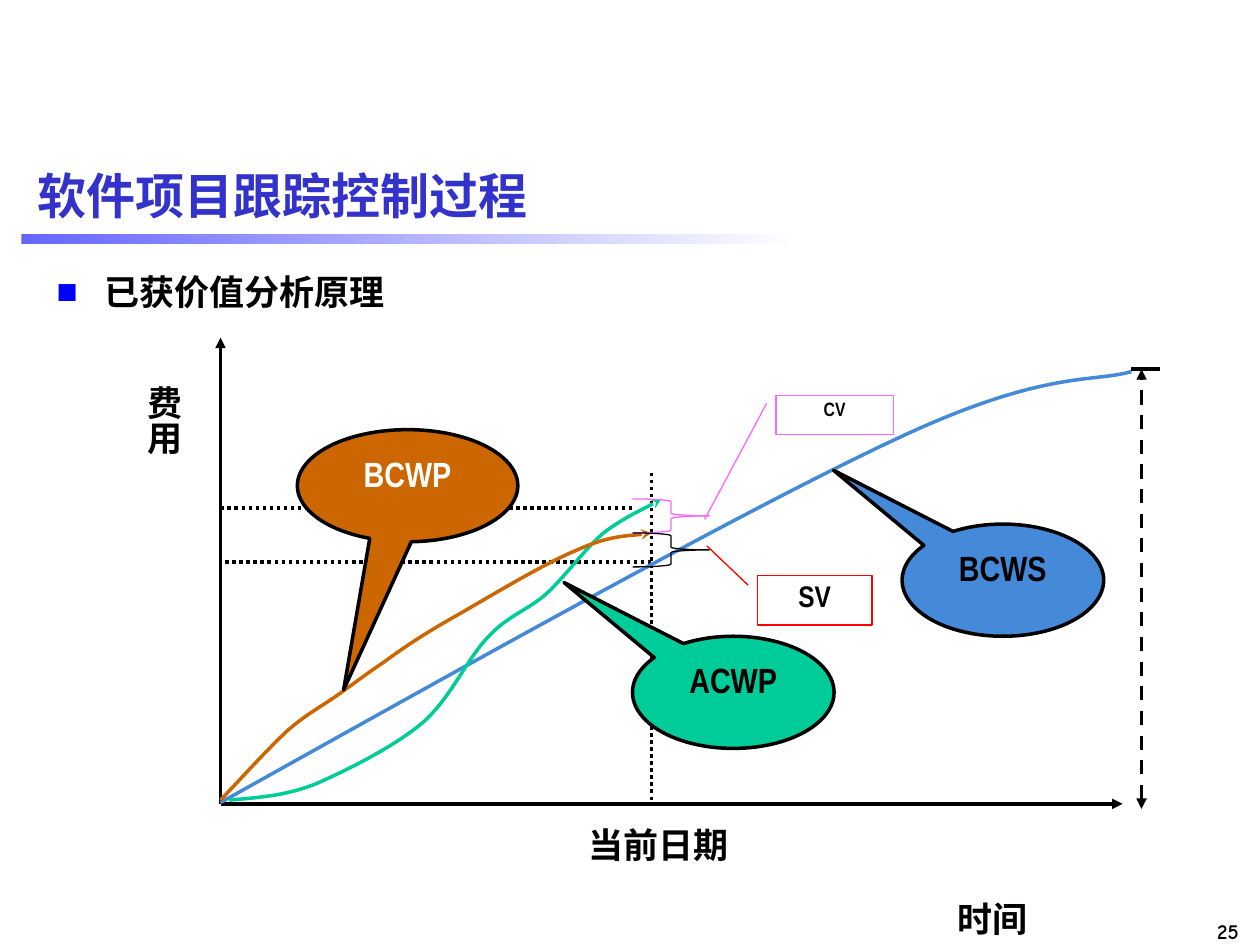
from dataclasses import dataclass

from lxml.etree import SubElement
from pptx import Presentation
from pptx.dml.color import RGBColor
from pptx.enum.dml import MSO_LINE
from pptx.enum.shapes import MSO_CONNECTOR, MSO_SHAPE
from pptx.enum.text import MSO_ANCHOR, PP_ALIGN
from pptx.oxml.ns import qn
from pptx.util import Pt

SCALE = 9144


@dataclass(frozen=True)
class Theme:
    """Colours, fonts and type sizes of the slide."""
    ink: str = "000000"
    paper: str = "FFFFFF"
    title: str = "3333CC"
    bar: str = "6666FF"
    bullet: str = "0000FF"
    planned: str = "448AD8"
    actual: str = "00CC99"
    earned: str = "CC6600"
    cost_variance: str = "FF66FF"
    schedule_variance: str = "FF0000"
    heading_font: str = "Arial"
    label_font: str = "Arial Narrow"
    asian_font: str = "Noto Sans CJK SC"
    number_font: str = "Comic Neue"
    title_size: int = 28
    label_size: int = 20
    schedule_size: int = 17
    number_size: int = 12
    cost_size: int = 11
    heavy: float = 2
    thin: float = 0.75


THEME = Theme()


@dataclass(frozen=True)
class Box:
    """An area of the slide in px."""
    left: int
    top: int
    width: int
    height: int

    def inner(self, left, top, width, height):
        """Return a box given relative to this one."""
        return Box(self.left + left, self.top + top, width, height)

    def point(self, x, y):
        """Return a relative point in EMU."""
        return px(self.left + x), px(self.top + y)

    def emu(self):
        """Return left, top, width and height in EMU."""
        return px(self.left), px(self.top), px(self.width), px(self.height)


def px(length):
    """Turn px into EMU."""
    return length * SCALE


def assign(target, values):
    """Set attributes from a dict of format values."""
    for name, value in values.items():
        setattr(target, name, value)


def write(shape, text, size, font=THEME.label_font, color=THEME.ink,
          align=PP_ALIGN.CENTER, spacing=1.0, anchor=MSO_ANCHOR.TOP):
    """Put one bold paragraph in a shape and return it."""
    frame = shape.text_frame
    assign(frame, {"word_wrap": True, "vertical_anchor": anchor})
    paragraph = frame.paragraphs[0]
    assign(paragraph, {"alignment": align, "line_spacing": spacing, "space_before": Pt(0)})
    run = paragraph.add_run()
    run.text = text
    assign(run.font, {"name": font, "size": Pt(size), "bold": True})
    run.font.color.rgb = RGBColor.from_string(color)
    SubElement(run.font._element, qn("a:ea"), typeface=THEME.asian_font)
    return paragraph


def stroke(shape, color, width, dash=None, head=None, tail=None):
    """Format a line and its arrowheads."""
    shape.line.color.rgb = RGBColor.from_string(color)
    assign(shape.line, {"width": Pt(width), "dash_style": dash})
    outline = shape.element.spPr.find(qn("a:ln"))
    for tag, kind in (("a:headEnd", head), ("a:tailEnd", tail)):
        if kind:
            SubElement(outline, qn(tag), type=kind)


def add_preset(slide, kind, box, color, width, fill=None, adjustments=()):
    """Add a preset shape with a plain outline and optional fill."""
    shape = slide.shapes.add_shape(kind, *box.emu())
    shape.shadow.inherit = False
    for index, value in enumerate(adjustments):
        shape.adjustments[index] = value
    if fill:
        shape.fill.solid()
        shape.fill.fore_color.rgb = RGBColor.from_string(fill)
    else:
        shape.fill.background()
    stroke(shape, color, width)
    return shape


def add_line(slide, box, start, end, **style):
    """Add a straight line between two points of the box."""
    line = slide.shapes.add_connector(
        MSO_CONNECTOR.STRAIGHT, *box.point(*start), *box.point(*end))
    stroke(line, THEME.ink, THEME.heavy, **style)
    SubElement(line.element.spPr, qn("a:effectLst"))


def add_curve(slide, box, points, color, tail=None):
    """Add an open cubic curve: a start, then three points per segment."""
    start, *controls = [box.point(*point) for point in points]
    builder = slide.shapes.build_freeform(*start)
    builder.add_line_segments(controls, close=False)
    curve = builder.convert_to_shape()
    outline = next(curve.element.iter(qn("a:path")))
    segments = outline.findall(qn("a:lnTo"))
    for index in range(0, len(segments), 3):
        bezier = SubElement(outline, qn("a:cubicBezTo"))
        for segment in segments[index:index + 3]:
            bezier.append(segment[0])
            outline.remove(segment)
    curve.shadow.inherit = False
    curve.fill.background()
    stroke(curve, color, THEME.heavy, tail=tail)


def add_label(slide, box, text, vertical=False, **style):
    """Add a text box, optionally with stacked characters."""
    label = slide.shapes.add_textbox(*box.emu())
    write(label, text, **{"size": THEME.label_size, **style})
    if vertical:
        assign(label.text_frame, {"margin_left": px(5), "margin_right": px(5),
                                  "margin_top": px(10), "margin_bottom": px(10)})
        label.text_frame._txBody.bodyPr.set("vert", "eaVert")


def place(placeholder, box):
    """Move a placeholder to the box."""
    assign(placeholder, dict(zip(("left", "top", "width", "height"), box.emu())))


def add_header(slide, box):
    """Place the title and the fading bar below it."""
    bar = slide.shapes.add_shape(MSO_SHAPE.RECTANGLE, *box.inner(-3, 71, 617, 8).emu())
    bar.shadow.inherit = False
    bar.line.fill.background()
    bar.fill.gradient()
    bar.fill.gradient_angle = 0
    for stop, color in zip(bar.fill.gradient_stops, (THEME.bar, THEME.paper)):
        stop.color.rgb = RGBColor.from_string(color)
    place(slide.shapes.title, box)
    write(slide.shapes.title, "软件项目跟踪控制过程", THEME.title_size, THEME.heading_font,
          THEME.title, PP_ALIGN.LEFT, anchor=MSO_ANCHOR.MIDDLE)


def add_body(slide, box):
    """Place the bulleted topic."""
    body = slide.placeholders[1]
    place(body, box)
    paragraph = write(body, "已获价值分析原理", THEME.label_size, THEME.asian_font,
                      align=PP_ALIGN.LEFT)
    properties = paragraph._p.get_or_add_pPr()
    assign_indent = {"marL": px(38), "indent": px(-38)}
    for name, value in assign_indent.items():
        properties.set(name, str(value))
    color = SubElement(properties, qn("a:buClr"))
    SubElement(color, qn("a:srgbClr"), val=THEME.bullet)
    SubElement(properties, qn("a:buFont"), typeface=THEME.heading_font)
    SubElement(properties, qn("a:buChar"), char="■")


def add_axes(slide, box):
    """Draw the axes, guides, end marker and axis labels."""
    origin = (0, box.height)
    for end in ((box.width, box.height), (0, 0)):
        add_line(slide, box, origin, end, tail="triangle")
    for start, end in (((342, 107), (342, box.height)), ((342, 178), (0, 178)),
                       ((327, 135), (0, 135))):
        add_line(slide, box, start, end, dash=MSO_LINE.ROUND_DOT)
    add_line(slide, box, (723, 25), (746, 25))
    add_line(slide, box, (731, 374), (731, 25), dash=MSO_LINE.DASH,
             head="triangle", tail="triangle")
    add_label(slide, box.inner(525, 439, 175, 44), "时间")
    add_label(slide, box.inner(-76, 28, 53, 171), "费用", vertical=True)
    add_label(slide, box.inner(282, 381, 144, 44), "当前日期", align=PP_ALIGN.LEFT)


def add_curves(slide, box):
    """Draw the planned, actual and earned value curves."""
    planned = [(0, 369), (206, 254), (412, 139), (533, 82), (653, 25), (692, 36), (723, 27)]
    actual = [(7, 367), (29, 365), (51, 364), (76, 354), (101, 343), (137, 325), (160, 306),
              (183, 286), (196, 254), (213, 237), (229, 220), (243, 217), (259, 203),
              (274, 189), (289, 168), (304, 155), (320, 143), (344, 132), (350, 128)]
    earned = [(0, 367), (19, 347), (38, 326), (53, 312), (68, 299), (78, 294), (91, 285),
              (104, 276), (114, 268), (129, 258), (144, 247), (157, 238), (183, 223),
              (208, 209), (255, 180), (282, 169), (308, 157), (332, 157), (342, 155)]
    add_curve(slide, box, planned, THEME.planned)
    add_curve(slide, box, actual, THEME.actual, "stealth")
    add_curve(slide, box, earned, THEME.earned, "stealth")


def add_callouts(slide, box):
    """Name the curves and mark both variances."""
    for text, area, fill, color, tip in (
            ("BCWS", (541, 148, 160, 89), THEME.planned, THEME.ink, (-0.84, -0.98)),
            ("ACWP", (327, 237, 160, 89), THEME.actual, THEME.ink, (-0.84, -0.98)),
            ("BCWP", (61, 73, 175, 89), THEME.earned, THEME.paper, (-0.29, 1.82))):
        balloon = add_preset(slide, MSO_SHAPE.OVAL_CALLOUT, box.inner(*area), THEME.ink,
                             THEME.heavy, fill, tip)
        write(balloon, text, THEME.label_size, color=color)
    for top, color in ((128, THEME.cost_variance), (155, THEME.ink)):
        add_preset(slide, MSO_SHAPE.RIGHT_BRACE, box.inner(327, top, 61, 27), color, THEME.thin)
    for text, area, color, size, spacing, tip in (
            ("CV", (441, 46, 93, 31), THEME.cost_variance, THEME.cost_size, 0.8, (3.17, -0.61)),
            ("SV", (426, 189, 91, 39), THEME.schedule_variance, THEME.schedule_size, 0.9,
             (-0.61, -0.44))):
        note = add_preset(slide, MSO_SHAPE.LINE_CALLOUT_1, box.inner(*area), color, THEME.thin,
                          adjustments=(0.19, -0.08, *tip))
        write(note, text, size, spacing=spacing)


def main():
    """Build and save the slide."""
    presentation = Presentation()
    assign(presentation, {"slide_width": px(1000), "slide_height": px(750)})
    slide = presentation.slides.add_slide(presentation.slide_layouts[1])
    add_header(slide, Box(20, 115, 961, 79))
    add_body(slide, Box(35, 210, 945, 540))
    add_label(slide, Box(901, 724, 92, 30), "25", size=THEME.number_size,
              font=THEME.number_font, align=PP_ALIGN.RIGHT)
    chart = Box(175, 268, 716, 370)
    for add_region in (add_axes, add_curves, add_callouts):
        add_region(slide, chart)
    presentation.save("out.pptx")


if __name__ == "__main__":
    main()
